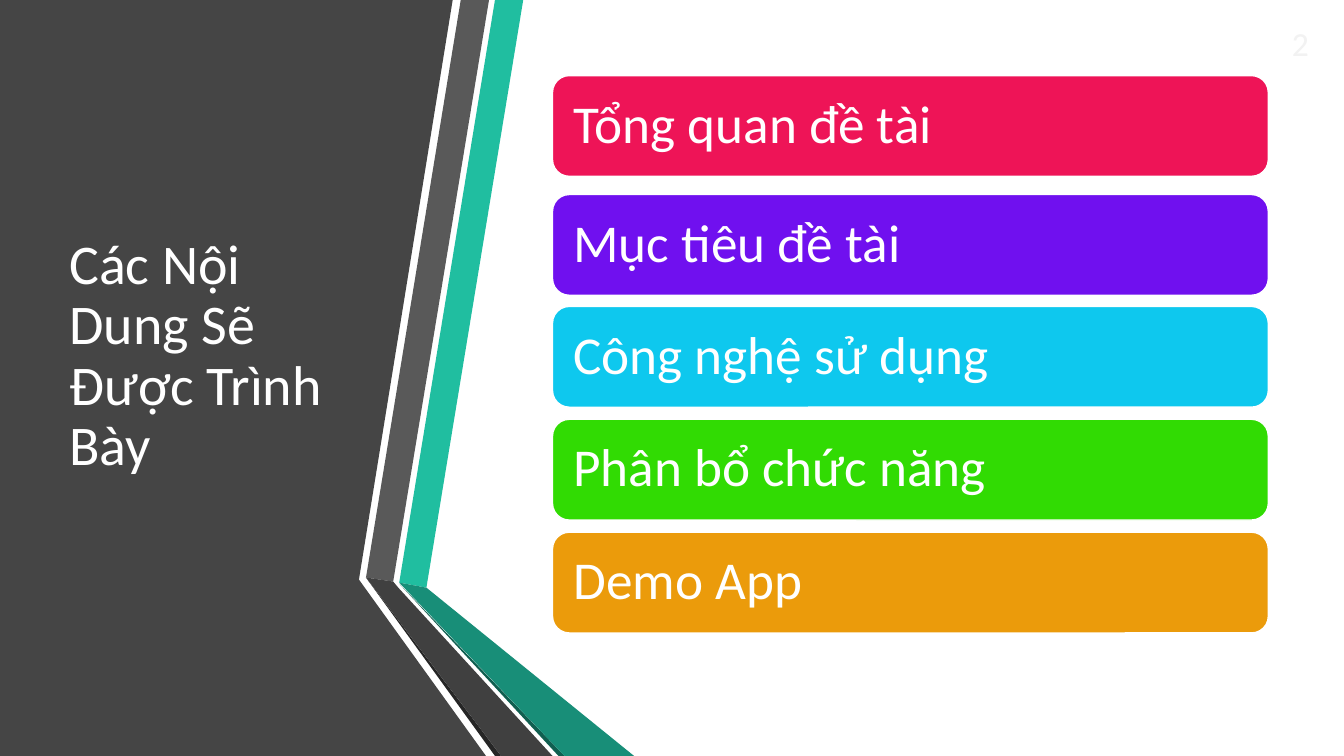
from pptx import Presentation
from pptx.dml.color import RGBColor
from pptx.enum.shapes import MSO_SHAPE
from pptx.enum.text import MSO_ANCHOR, PP_ALIGN
from pptx.util import Inches, Pt

WHITE = RGBColor(0xFF, 0xFF, 0xFF)
PALE_GRAY = RGBColor(0xF2, 0xF2, 0xF2)
PANEL_GRAY = RGBColor(0x45, 0x45, 0x45)
BAND_GRAY = RGBColor(0x59, 0x59, 0x59)
FOLD_GRAY = RGBColor(0x40, 0x40, 0x40)
EDGE_GRAY = RGBColor(0x26, 0x26, 0x26)
BAND_TEAL = RGBColor(0x20, 0xBE, 0xA0)
FOLD_TEAL = RGBColor(0x18, 0x8E, 0x78)
EDGE_TEAL = RGBColor(0x10, 0x5F, 0x50)
PINK = RGBColor(0xEE, 0x14, 0x57)
VIOLET = RGBColor(0x70, 0x10, 0xEF)
CYAN = RGBColor(0x0E, 0xC8, 0xEE)
GREEN = RGBColor(0x31, 0xDB, 0x03)
ORANGE = RGBColor(0xEB, 0x9B, 0x0B)

# Fill and corner points in inches, from back to front
RIBBON = [
    (PANEL_GRAY, [(0, 0), (4.49, 0), (3.56, 5.75), (4.82, 7.5), (0, 7.5)]),
    (BAND_TEAL, [(3.96, 5.78), (4.23, 5.83), (5.19, 0), (4.91, 0)]),
    (BAND_GRAY, [(4.85, 0), (4.57, 0), (3.63, 5.73), (3.9, 5.77)]),
    (EDGE_GRAY, [(3.63, 5.73), (4.91, 7.5), (4.97, 7.5)]),
    (EDGE_TEAL, [(3.96, 5.79), (5.54, 7.5), (5.6, 7.5)]),
    (FOLD_TEAL, [(3.96, 5.78), (5.6, 7.5), (6.29, 7.5), (4.23, 5.83)]),
    (FOLD_GRAY, [(5.48, 7.5), (3.95, 5.83), (3.9, 5.77), (3.63, 5.73), (4.97, 7.5)]),
]

TOPICS = [
    (0.75, "Tổng quan đề tài", PINK),
    (1.93, "Mục tiêu đề tài", VIOLET),
    (3.04, "Công nghệ sử dụng", CYAN),
    (4.16, "Phân bổ chức năng", GREEN),
    (5.28, "Demo App", ORANGE),
]


def write(shape, text, size, color=WHITE, align=PP_ALIGN.LEFT, side_inset=0.1, spacing=0.9):
    frame = shape.text_frame
    frame.word_wrap = True
    frame.vertical_anchor = MSO_ANCHOR.MIDDLE
    frame.margin_left = frame.margin_right = Inches(side_inset)
    paragraph = frame.paragraphs[0]
    paragraph.text = text
    paragraph.alignment = align
    paragraph.line_spacing = spacing
    paragraph.font.name = "Calibri"
    paragraph.font.size = Pt(size)
    paragraph.font.color.rgb = color


def add_text(slide, left, top, width, height, text, **text_format):
    box = slide.shapes.add_textbox(Inches(left), Inches(top), Inches(width), Inches(height))
    write(box, text, **text_format)


def add_facet(slide, color, points):
    start, *rest = [(Inches(x), Inches(y)) for x, y in points]
    outline = slide.shapes.build_freeform(*start)
    outline.add_line_segments(rest, close=True)
    facet = outline.convert_to_shape()
    facet.shadow.inherit = False
    facet.fill.solid()
    facet.fill.fore_color.rgb = color
    facet.line.fill.background()


def add_topic(slide, top, text, color):
    bar = slide.shapes.add_shape(
        MSO_SHAPE.ROUNDED_RECTANGLE, Inches(5.48), Inches(top), Inches(7.1), Inches(1))
    bar.shadow.inherit = False
    bar.fill.solid()
    bar.fill.fore_color.rgb = color
    bar.line.color.rgb = WHITE
    bar.line.width = Pt(1)
    write(bar, text, size=38, side_inset=0.16)


def main():
    presentation = Presentation()
    presentation.slide_width = Inches(13.33)
    presentation.slide_height = Inches(7.5)
    slide = presentation.slides.add_slide(presentation.slide_layouts[6])

    for color, points in RIBBON:
        add_facet(slide, color, points)
    add_text(slide, 0.59, 0.75, 3.04, 5.58, "Các Nội Dung Sẽ Được Trình Bày", size=40)
    for top, text, color in TOPICS:
        add_topic(slide, top, text, color)
    add_text(slide, 12.28, 0.18, 0.8, 0.5, "2", size=24, color=PALE_GRAY,
             align=PP_ALIGN.RIGHT, spacing=1.0)

    presentation.save("out.pptx")


if __name__ == "__main__":
    main()
